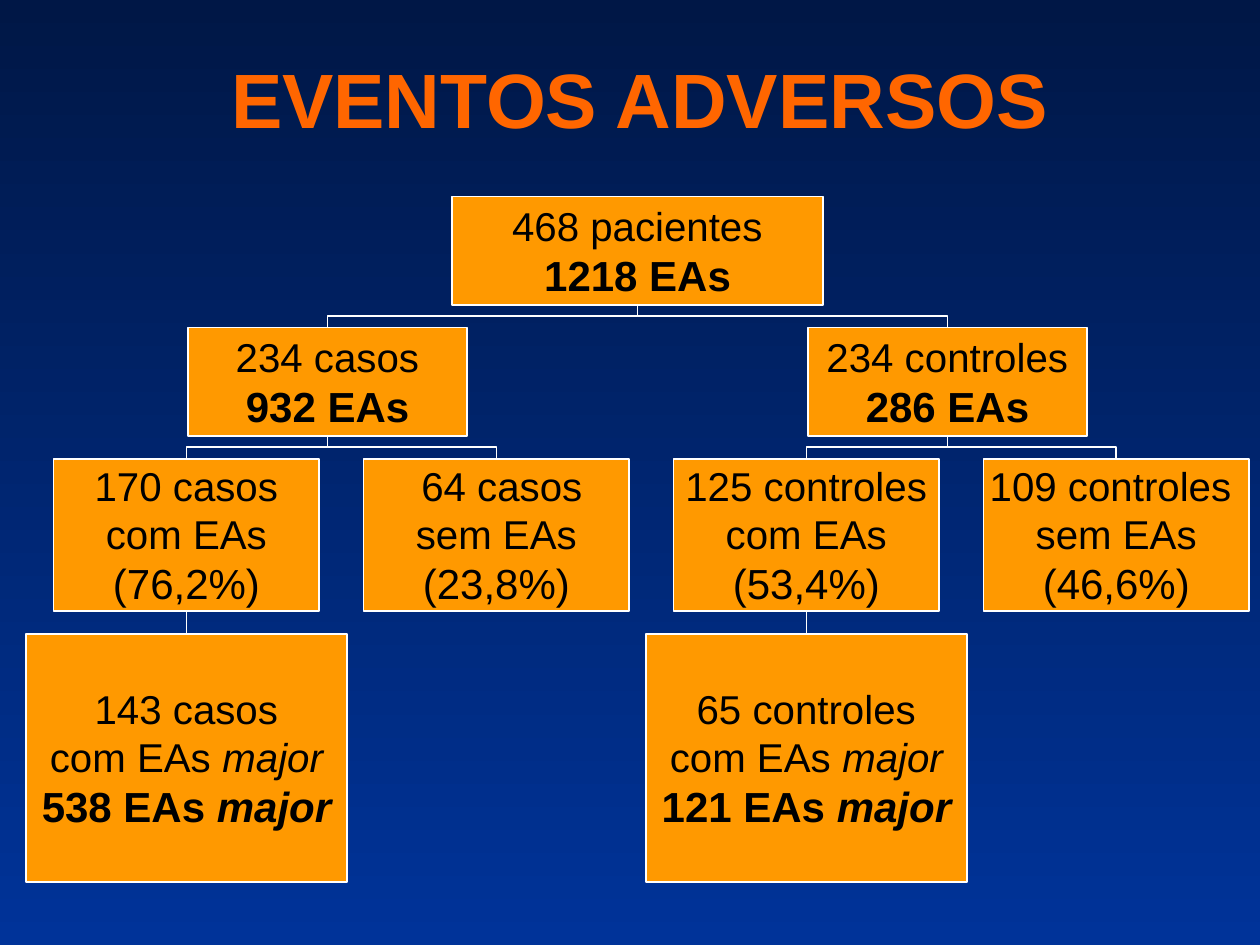
from pptx import Presentation
from pptx.dml.color import RGBColor
from pptx.enum.shapes import MSO_CONNECTOR as Connector, MSO_SHAPE as Preset
from pptx.enum.text import MSO_ANCHOR as Anchor, PP_ALIGN as Align
from pptx.util import Inches, Pt
from lxml.etree import SubElement
from pptx.oxml.ns import qn

COLORS = {name: RGBColor.from_string(value) for name, value in {
    "top": "001746", "bottom": "003399", "title": "FF6600",
    "box": "FF9900", "line": "FFFFFF", "text": "000000",
}.items()}

# Four columns of equal pitch; each branch takes two of them
FIRST_COLUMN, PITCH = 1.48, 2.46
BRANCH_SHIFT = 1.12
FIRST_ROW, GAP = 1.56, 0.18
LEVEL_SIZES = [(2.95, 0.86), (2.21, 0.86), (2.11, 1.21), (2.55, 1.97)]
ITALIC_WORD = "major"

columns = [FIRST_COLUMN + PITCH * index for index in range(4)]
left_branch, right_branch = columns[0] + BRANCH_SHIFT, columns[2] + BRANCH_SHIFT
root = (left_branch + right_branch) / 2
level_tops = [FIRST_ROW + sum(height + GAP for _, height in LEVEL_SIZES[:level])
              for level in range(len(LEVEL_SIZES))]

# Level, centre, centre of the parent, lines of text
BOXES = [
    (0, root, None, ["468 pacientes", "1218 EAs"]),
    (1, left_branch, root, ["234 casos", "932 EAs"]),
    (1, right_branch, root, ["234 controles", "286 EAs"]),
    (2, columns[0], left_branch, ["170 casos", "com EAs", "(76,2%)"]),
    (2, columns[1], left_branch, [" 64 casos", "sem EAs", "(23,8%)"]),
    (2, columns[2], right_branch, ["125 controles", "com EAs", "(53,4%)"]),
    (2, columns[3], right_branch, ["109 controles ", "sem EAs", "(46,6%)"]),
    (3, columns[0], columns[0], ["143 casos", "com EAs major", "538 EAs major"]),
    (3, columns[2], columns[2], ["65 controles", "com EAs major", "121 EAs major"]),
]


def add_run(paragraph, text, color, **formats):
    run = paragraph.add_run()
    run.text = text
    run.font.color.rgb = COLORS[color]
    for name, value in {"name": "Arial", **formats}.items():
        setattr(run.font, name, value)


def add_branch(shapes, parent, child, top):
    """Draw the line that runs down from a parent box to its child."""
    middle_x, middle_y = (parent + child) / 2, top - GAP / 2
    reach = abs(child - parent)
    if reach:
        # An elbow leaves sideways, so it is laid flat and then turned upright
        side = GAP / 2 if child > parent else -GAP / 2
        ends = (middle_x + side, middle_y - reach / 2,
                middle_x - side, middle_y + reach / 2)
        kind = Connector.ELBOW
    else:
        ends = (parent, top - GAP, child, top)
        kind = Connector.STRAIGHT
    connector = shapes.add_connector(kind, *map(Inches, ends))
    if reach:
        turn = 270 if child > parent else 90
        connector._element.spPr.find(qn("a:xfrm")).set("rot", str(turn * 60000))
    connector.line.color.rgb = COLORS["line"]
    connector.line.width = Pt(1)
    SubElement(connector._element.spPr, qn("a:effectLst"))


presentation = Presentation()
presentation.slide_width, presentation.slide_height = Inches(10), Inches(7.5)
slide = presentation.slides.add_slide(presentation.slide_layouts[6])

background = slide.background.fill
background.gradient()
background.gradient_angle = 270
for stop, name in zip(background.gradient_stops, ("top", "bottom")):
    stop.color.rgb = COLORS[name]

title = slide.shapes.add_textbox(*map(Inches, (0.83, 0, 8.5, 1.55))).text_frame
title.word_wrap = True
title.vertical_anchor = Anchor.MIDDLE
title.paragraphs[0].alignment = Align.CENTER
add_run(title.paragraphs[0], "EVENTOS ADVERSOS", "title", size=Pt(44), bold=True)

for level, center, parent, _ in BOXES:
    if parent is not None:
        add_branch(slide.shapes, parent, center, level_tops[level])

for level, center, _, lines in BOXES:
    width, height = LEVEL_SIZES[level]
    box = slide.shapes.add_shape(Preset.RECTANGLE, *map(
        Inches, (center - width / 2, level_tops[level], width, height)))
    box.shadow.inherit = False
    box.fill.solid()
    box.fill.fore_color.rgb = COLORS["box"]
    box.line.color.rgb = COLORS["line"]
    box.line.width = Pt(1)
    frame = box.text_frame
    for name, value in {
        "word_wrap": False, "vertical_anchor": Anchor.MIDDLE,
        "margin_left": Inches(0.06), "margin_right": Inches(0.06),
        "margin_top": Inches(0.03), "margin_bottom": Inches(0.03),
    }.items():
        setattr(frame, name, value)
    for index, line in enumerate(lines):
        paragraph = frame.paragraphs[0] if index == 0 else frame.add_paragraph()
        paragraph.alignment = Align.CENTER
        is_last = index == len(lines) - 1
        formats = {"size": Pt(24 if is_last else 23),
                   "bold": is_last and not line.startswith("(")}
        plain, word, _ = line.partition(ITALIC_WORD)
        add_run(paragraph, plain, "text", **formats)
        if word:
            add_run(paragraph, word, "text", italic=True, **formats)

presentation.save("out.pptx")
